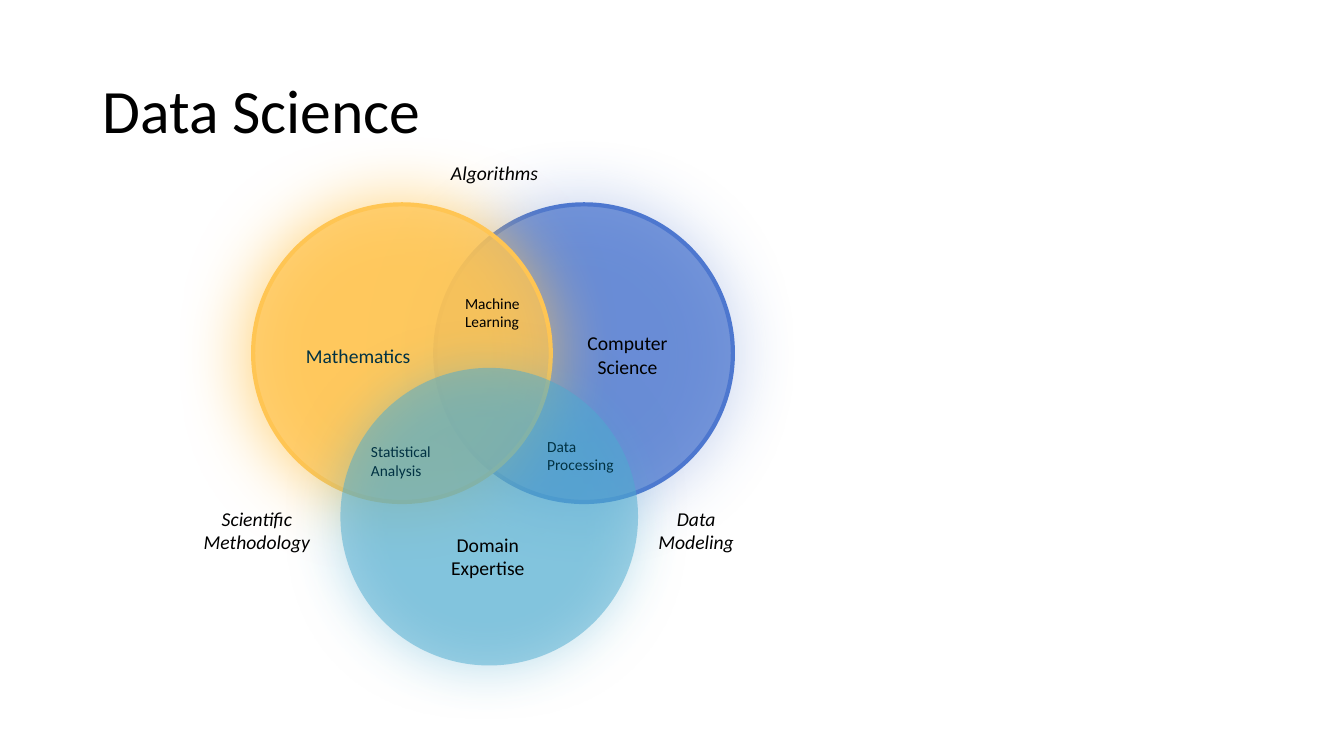
from lxml import etree
from pptx import Presentation
from pptx import util as u
from pptx.dml.color import RGBColor
from pptx.enum import shapes, text
from pptx.oxml import ns


def color(value):
    return RGBColor.from_string(value)


def add_label(page, wording, left, top, width, height, size, ink, centered=False, italic=False):
    box = page.shapes.add_textbox(u.Cm(left), u.Cm(top), u.Cm(width), u.Cm(height))
    box.text_frame.word_wrap = True
    para = box.text_frame.paragraphs[0]
    para.alignment = text.PP_ALIGN.CENTER if centered else text.PP_ALIGN.LEFT
    span = para.add_run()
    span.text = wording
    span.font.name = "Calibri"
    span.font.size = u.Pt(size)
    span.font.italic = italic
    span.font.color.rgb = color(ink)
    return box


BLACK, NAVY = "000000", "013243"
DIAMETER = 7.5

deck = Presentation()
deck.slide_width, deck.slide_height = u.Cm(33.87), u.Cm(19.05)
page = deck.slides.add_slide(deck.slide_layouts[6])

title = add_label(page, "Data Science", 2.33, 1.02, 29.21, 3.68, 44, BLACK)
title.text_frame.vertical_anchor = text.MSO_ANCHOR.MIDDLE
title.text_frame.paragraphs[0].line_spacing = 0.9

circles = [
    (10.97, 5.15, "4D77CF", 75, True, 48, 50, 180),
    (6.38, 5.15, "FFC553", 75, True, 75, 50, 180),
    (8.58, 9.27, "4DABCF", 51, False, 75, 39, 135),
]
for left, top, tint, opacity, outlined, glow_opacity, blur, angle in circles:
    circle = page.shapes.add_shape(
        shapes.MSO_SHAPE.OVAL, u.Cm(left), u.Cm(top), u.Cm(DIAMETER), u.Cm(DIAMETER))
    circle.fill.solid()
    circle.fill.fore_color.rgb = color(tint)
    fill_color = circle._element.spPr.find(ns.qn("a:solidFill"))[0]
    etree.SubElement(fill_color, ns.qn("a:alpha"), val=str(opacity * 1000))
    if outlined:
        circle.line.color.rgb = color(tint)
        circle.line.width = u.Pt(3)
    else:
        circle.line.fill.background()
    circle.shadow.inherit = False
    effects = circle._element.spPr.find(ns.qn("a:effectLst"))
    glow = etree.SubElement(
        effects, ns.qn("a:outerShdw"), blurRad=str(u.Pt(blur)), dist=str(u.Pt(3)),
        dir=str(angle * 60000), algn="ctr", rotWithShape="0")
    glow_color = etree.SubElement(glow, ns.qn("a:srgbClr"), val=tint)
    etree.SubElement(glow_color, ns.qn("a:alpha"), val=str(glow_opacity * 1000))

fields = [
    ("Mathematics", 7.46, 8.55, 0.86, NAVY, False, False),
    ("Domain Expertise", 10.57, 13.3, 1.45, BLACK, True, False),
    ("Computer Science", 14.09, 8.22, 1.45, BLACK, True, False),
    ("Scientific Methodology", 4.75, 12.64, 1.45, BLACK, True, True),
    ("Algorithms", 10.74, 3.94, 0.86, BLACK, True, True),
    ("Data Modeling", 15.82, 12.64, 1.45, BLACK, True, True),
]
for wording, left, top, height, ink, centered, italic in fields:
    add_label(page, wording, left, top, 3.45, height, 14, ink, centered, italic)

overlaps = [
    ("Machine Learning", 11.47, 7.28, 2.08, BLACK),
    ("Data Processing", 13.54, 10.88, 2.36, NAVY),
    ("Statistical Analysis", 9.1, 11.02, 2.36, NAVY),
]
for wording, left, top, width, ink in overlaps:
    add_label(page, wording, left, top, width, 1.19, 11, ink)

deck.save("out.pptx")
